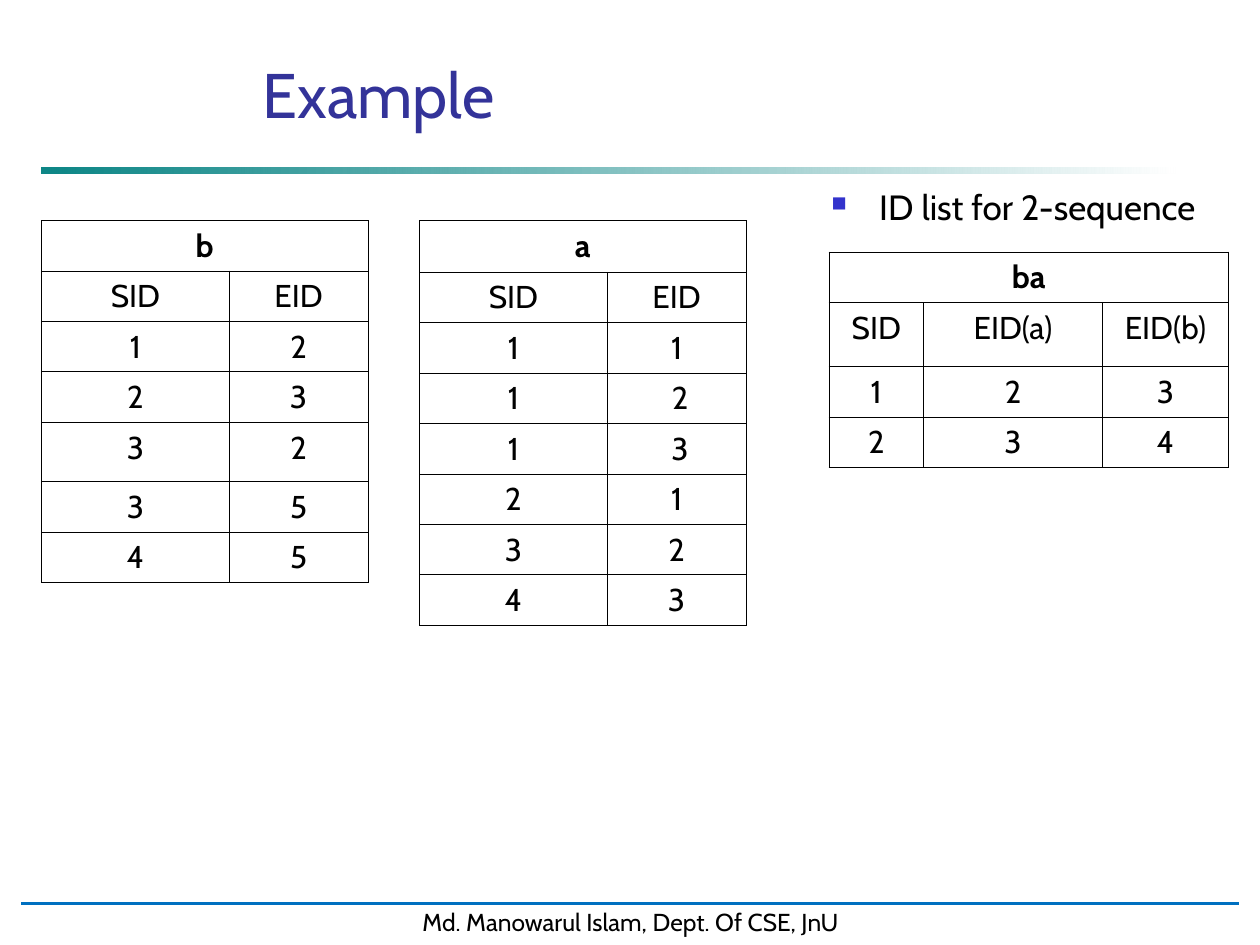
"""Build the slide with ID lists for sequence mining."""
from lxml import etree
from pptx import Presentation
from pptx.dml.color import RGBColor
from pptx.enum import shapes, text
from pptx.oxml import ns
from pptx.util import Inches, Pt

FONT = "Cabin"
BLACK = RGBColor(0x00, 0x00, 0x00)
WHITE = RGBColor(0xFF, 0xFF, 0xFF)
TEAL = RGBColor(0x00, 0x80, 0x80)
BLUE = RGBColor(0x00, 0x70, 0xC0)
NAVY = RGBColor(0x33, 0x33, 0x99)
BULLET = RGBColor(0x33, 0x33, 0xCC)
CENTER = text.PP_ALIGN.CENTER
ROW_H = 0.4


def sub(parent, tag, **attrs):
    el = etree.SubElement(parent, ns.qn(tag))
    for key, value in attrs.items():
        el.set(key, str(value))
    return el


def put_text(tf, content, size=18, color=BLACK, bold=False, align=CENTER):
    p = tf.paragraphs[0]
    p.alignment = align
    r = p.add_run()
    r.text = content
    r.font.name, r.font.size, r.font.bold = FONT, Pt(size), bold
    r.font.color.rgb = color
    return p


def add_text(s, box, content, anchor=text.MSO_ANCHOR.TOP, **fmt):
    tf = s.shapes.add_textbox(*map(Inches, box)).text_frame
    tf.word_wrap = True
    tf.vertical_anchor = anchor
    return put_text(tf, content, **fmt)


def add_rect(s, box):
    sp = s.shapes.add_shape(shapes.MSO_SHAPE.RECTANGLE, *map(Inches, box))
    sp.shadow.inherit = False
    return sp


def add_title_rule(s):
    sp = add_rect(s, (0.33, 1.33, 9, 0.05))
    sp.line.fill.background()
    sp.fill.gradient()
    sp.fill.gradient_angle = 0
    for stop, color, position in zip(sp.fill.gradient_stops, (TEAL, WHITE), (0, 1)):
        stop.color.rgb = color
        stop.position = position
    first = sp._element.spPr.find(".//" + ns.qn("a:srgbClr"))
    sub(first, "a:alpha", val=95000)


def add_footer(s, content):
    sp = add_rect(s, (0.17, 7.15, 9.67, 0.33))
    sp.fill.solid()
    sp.fill.fore_color.rgb = WHITE
    sp.line.color.rgb = WHITE
    sp.line.width = Pt(2)
    sp.text_frame.word_wrap = False
    put_text(sp.text_frame, content, size=14)
    ln = s.shapes.add_connector(shapes.MSO_CONNECTOR.STRAIGHT,
                                *map(Inches, (0.17, 7.17, 9.83, 7.17)))
    ln.line.color.rgb = BLUE
    ln.line.width = Pt(1.75)
    sub(ln._element.spPr, "a:effectLst")


def add_bullet(s, box, content):
    p = add_text(s, box, content, size=20, align=text.PP_ALIGN.LEFT)
    p.space_before = Pt(5)
    pPr = p._p.get_or_add_pPr()
    pPr.set("marL", str(Inches(0.38)))
    pPr.set("indent", str(-Inches(0.38)))
    sub(sub(pPr, "a:buClr"), "a:srgbClr", val=BULLET)
    sub(pPr, "a:buSzPct", val=60000)
    sub(pPr, "a:buChar", char="■")


def format_cell(cell):
    tcPr = cell._tc.get_or_add_tcPr()
    for side in ("a:lnL", "a:lnR", "a:lnT", "a:lnB"):
        ln = sub(tcPr, side, w=Pt(0.45))
        sub(sub(ln, "a:solidFill"), "a:srgbClr", val=BLACK)
    cell.fill.solid()
    cell.fill.fore_color.rgb = WHITE


def add_id_list(s, left, top, name, widths, rows, tall_row):
    """Add an ID list; tall_row is a (row index, height) pair."""
    heights = [ROW_H] * (len(rows) + 1)
    heights[tall_row[0]] = tall_row[1]
    size = map(Inches, (left, top, sum(widths), sum(heights)))
    tbl = s.shapes.add_table(len(heights), len(widths), *size).table
    for col, width in zip(tbl.columns, widths):
        col.width = Inches(width)
    for row, height in zip(tbl.rows, heights):
        row.height = Inches(height)
    for cell in tbl.iter_cells():
        format_cell(cell)
    tbl.cell(0, 0).merge(tbl.cell(0, len(widths) - 1))
    put_text(tbl.cell(0, 0).text_frame, name, bold=True)
    for i, values in enumerate(rows, 1):
        for j, value in enumerate(values):
            put_text(tbl.cell(i, j).text_frame, value)


def main():
    prs = Presentation()
    prs.slide_width, prs.slide_height = Inches(10), Inches(7.5)
    s = prs.slides.add_slide(prs.slide_layouts[6])
    add_title_rule(s)
    add_footer(s, "Md. Manowarul Islam, Dept. Of CSE, JnU")
    add_text(s, (0.67, 0.42, 4.67, 0.67), "Example",
             anchor=text.MSO_ANCHOR.BOTTOM, size=36, color=NAVY)
    pair = ("SID", "EID")
    add_id_list(s, 0.33, 1.75, "b", (1.49, 1.1),
                [pair, "12", "23", "32", "35", "45"], (4, 0.47))
    add_id_list(s, 3.33, 1.75, "a", (1.49, 1.1),
                [pair, "11", ("1", " 2"), ("1", " 3"), "21", "32", "43"], (0, 0.41))
    add_id_list(s, 6.58, 2, "ba", (0.75, 1.42, 1),
                [("SID", "EID(a)", "EID(b)"), "123", "234"], (1, 0.51))
    add_bullet(s, (6.5, 1.42, 3.5, 0.83), "ID list for 2-sequence")
    prs.save("out.pptx")


if __name__ == "__main__":
    main()
